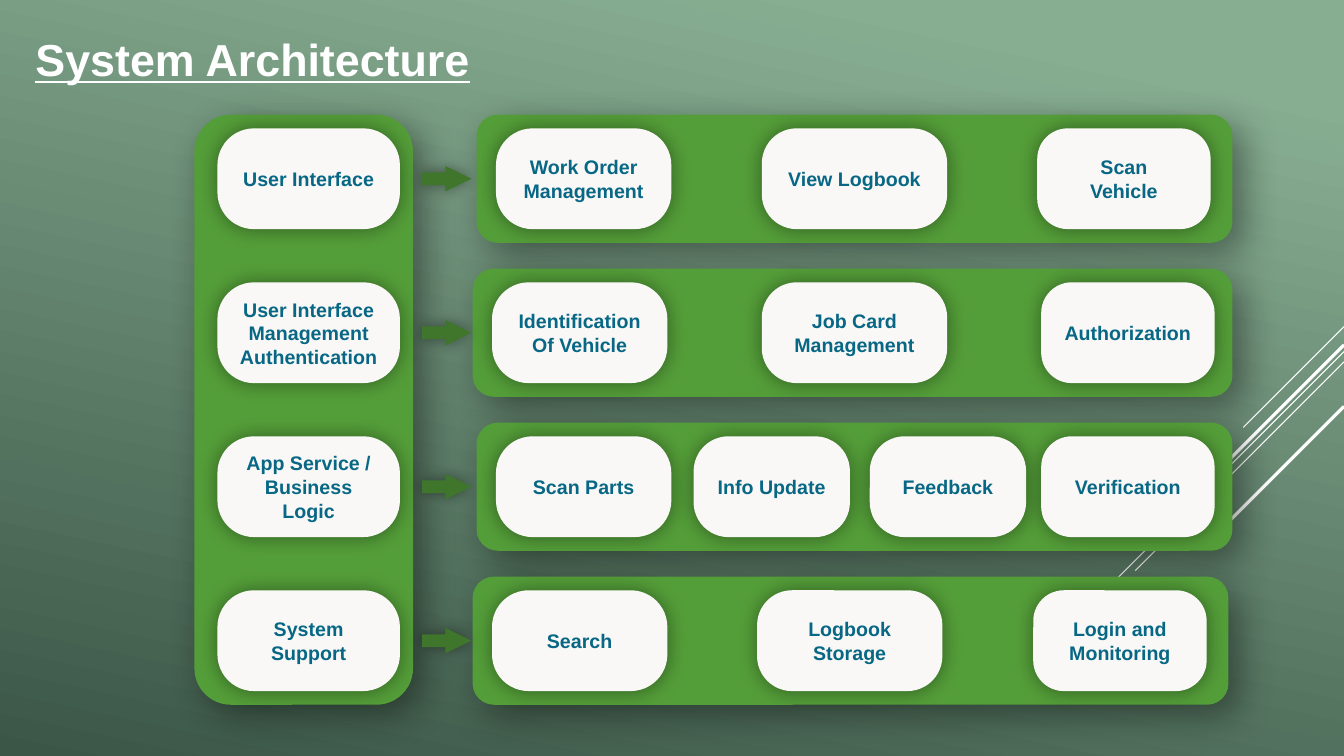
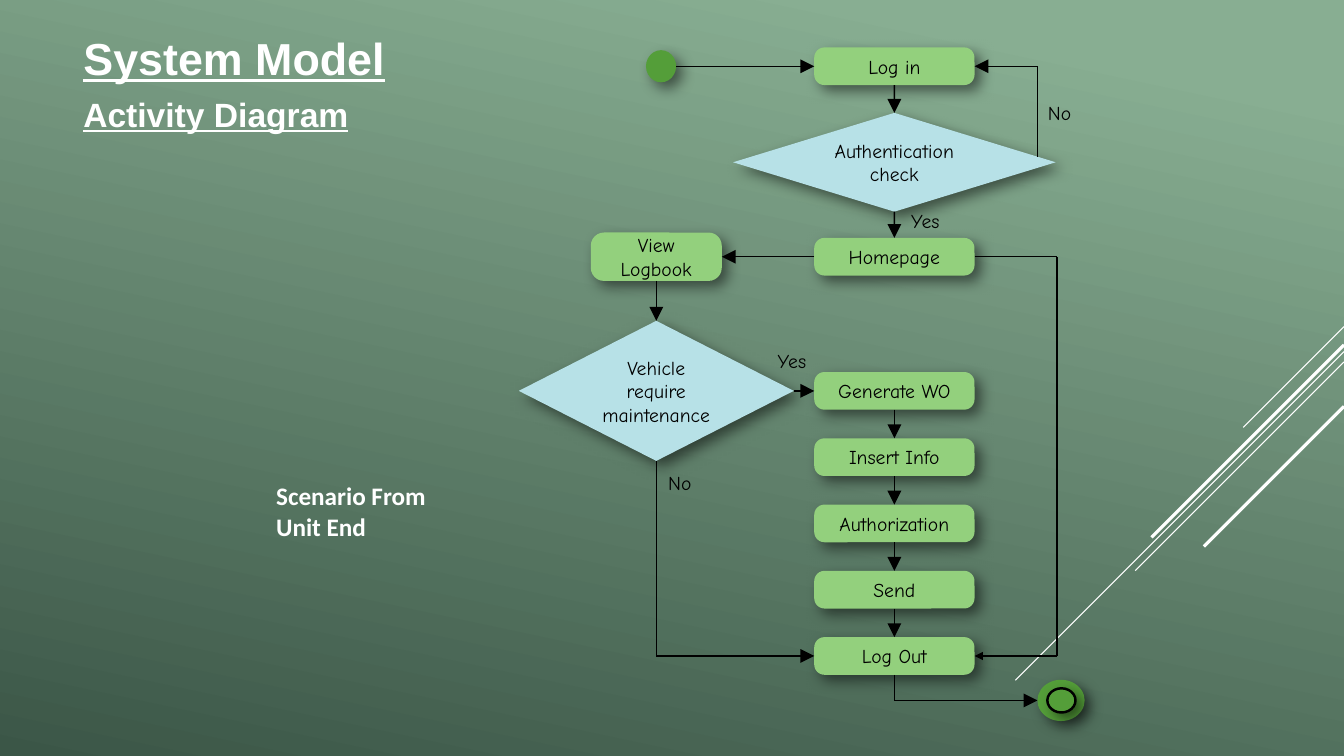
from dataclasses import dataclass
from enum import IntEnum
from itertools import pairwise

from lxml.etree import SubElement
from pptx import Presentation
from pptx.dml.color import RGBColor
from pptx.enum.shapes import MSO_CONNECTOR, MSO_SHAPE
from pptx.enum.text import MSO_ANCHOR, MSO_AUTO_SIZE, PP_ALIGN
from pptx.oxml.ns import qn
from pptx.presentation import Presentation as Deck
from pptx.shapes.autoshape import Shape
from pptx.shapes.connector import Connector
from pptx.slide import Slide
from pptx.text.text import TextFrame
from pptx.util import Cm, Pt

SLIDE_WIDTH, SLIDE_HEIGHT = 33.87, 19.05
WHITE, BLACK = "FFFFFF", "000000"
GREEN, DARK_GREEN, LIGHT_GREEN = "549E39", "3F762B", "93D07D"
CARD_FILL, CARD_TEXT, DECISION_FILL = "F9F8F6", "076785", "B7E1E7"
BACKDROP = ((0.1, "88AE92"), (1.0, "3B5647"))
HEADING_FONT, DIAGRAM_FONT, NOTE_FONT = "Arial", "Comic Neue", "Calibri"


@dataclass(frozen=True)
class Box:
    left: float
    top: float
    width: float
    height: float

    @property
    def right(self) -> float:
        return self.left + self.width

    @property
    def bottom(self) -> float:
        return self.top + self.height

    @property
    def middle(self) -> float:
        return self.top + self.height / 2

    def lengths(self) -> tuple[Cm, Cm, Cm, Cm]:
        return Cm(self.left), Cm(self.top), Cm(self.width), Cm(self.height)


def centred(x: float, y: float, width: float, height: float) -> Box:
    return Box(x - width / 2, y - height / 2, width, height)


@dataclass(frozen=True)
class Shadow:
    alpha: int
    blur: float
    distance: float
    angle: int


PANEL_SHADOW = Shadow(40, 26, 10, 45)
CARD_SHADOW = Shadow(40, 15, 0, 0)
ARROW_SHADOW = Shadow(40, 10, 0, 0)
STEP_SHADOW = Shadow(50, 10, 6, 45)


@dataclass(frozen=True)
class Streak:
    """Diagonal line that runs down and left from the right edge."""
    top: float
    run: float
    weight: float


STREAKS = (
    Streak(8.23, 2.54, 0.75),
    Streak(8.86, 8.28, 0.75),
    Streak(9.12, 5.26, 0.75),
    Streak(8.69, 4.85, 2.25),
    Streak(10.24, 3.53, 2.25),
)


@dataclass(frozen=True)
class Card:
    text: str
    left: float
    width: float
    rounding: float


@dataclass(frozen=True)
class Layer:
    name: str
    left: float
    width: float
    cards: tuple[Card, ...]


FIRST, MIDDLE, LAST = (4.42, 0.363), (4.67, 0.346), (4.37, 0.303)
NARROW = (3.94, 0.346)
LAYERS = (
    Layer("User Interface", 12.01, 19.05, (
        Card("Work Order Management", 12.5, *FIRST),
        Card("View Logbook", 19.2, *MIDDLE),
        Card("Scan\nVehicle", 26.14, *LAST))),
    Layer("User Interface Management Authentication", 11.91, 19.15, (
        Card("Identification Of Vehicle", 12.4, *FIRST),
        Card("Job Card Management", 19.2, *MIDDLE),
        Card("Authorization", 26.24, *LAST))),
    Layer("App Service /\nBusiness Logic", 12.01, 19.05, (
        Card("Scan Parts", 12.5, *FIRST),
        Card("Info Update", 17.48, *NARROW),
        Card("Feedback", 21.92, *NARROW),
        Card("Verification", 26.24, *LAST))),
    Layer("System Support", 11.91, 19.05, (
        Card("Search", 12.4, *FIRST),
        Card("Logbook Storage", 19.08, *MIDDLE),
        Card("Login and Monitoring", 26.04, *LAST))),
)
LAYER_TOP, LAYER_STEP, LAYER_HEIGHT, CARD_HEIGHT = 2.89, 3.88, 3.23, 2.54


class Site(IntEnum):
    TOP = 0
    LEFT = 1
    BOTTOM = 2
    RIGHT = 3


def rgb(color: str) -> RGBColor:
    return RGBColor.from_string(color)


def write(frame: TextFrame, text: str, *, size: float, font: str, color: str,
          bold: bool = False, underline: bool = False,
          align: PP_ALIGN = PP_ALIGN.LEFT,
          anchor: MSO_ANCHOR = MSO_ANCHOR.TOP) -> None:
    """Fill the frame with one paragraph per line of text."""
    frame.text = text
    frame.word_wrap = True
    frame.auto_size = MSO_AUTO_SIZE.NONE
    frame.vertical_anchor = anchor
    for paragraph in frame.paragraphs:
        paragraph.alignment = align
        for run in paragraph.runs:
            run.font.name = font
            run.font.size = Pt(size)
            run.font.bold = bold
            run.font.underline = underline
            run.font.color.rgb = rgb(color)


def cast_shadow(shape: Shape, shadow: Shadow) -> None:
    shape.shadow.inherit = False
    effects = shape._element.spPr.find(qn("a:effectLst"))
    outer = SubElement(effects, qn("a:outerShdw"), {
        "blurRad": str(Pt(shadow.blur)), "dist": str(Pt(shadow.distance)),
        "dir": str(shadow.angle * 60000), "algn": "ctr", "rotWithShape": "0"})
    tint = SubElement(outer, qn("a:srgbClr"), val=BLACK)
    SubElement(tint, qn("a:alpha"), val=str(shadow.alpha * 1000))


def add_block(slide: Slide, kind: MSO_SHAPE, box: Box, fill: str, shadow: Shadow,
              adjustments: tuple[float, ...] = ()) -> Shape:
    block = slide.shapes.add_shape(kind, *box.lengths())
    block.fill.solid()
    block.fill.fore_color.rgb = rgb(fill)
    block.line.fill.background()
    for index, value in enumerate(adjustments):
        block.adjustments[index] = value
    cast_shadow(block, shadow)
    return block


def add_text(slide: Slide, box: Box, text: str, **style) -> None:
    write(slide.shapes.add_textbox(*box.lengths()).text_frame, text, **style)


def add_line(slide: Slide, start: tuple[float, float], end: tuple[float, float],
             color: str = BLACK, weight: float = 1, head: str = "") -> Connector:
    """Draw a straight line; head is the arrowhead size at its end, if any."""
    line = slide.shapes.add_connector(
        MSO_CONNECTOR.STRAIGHT, *(Cm(value) for value in (*start, *end)))
    line.line.color.rgb = rgb(color)
    line.line.width = Pt(weight)
    if head:
        SubElement(line.line._get_or_add_ln(), qn("a:tailEnd"),
                   type="triangle", w=head, len=head)
    SubElement(line._element.spPr, qn("a:effectLst"))
    return line


def add_route(slide: Slide, *points: tuple[float, float], head: str = "lg") -> None:
    """Draw a bent arrow through the points."""
    legs = list(pairwise(points))
    for start, end in legs[:-1]:
        add_line(slide, start, end)
    add_line(slide, *legs[-1], head=head)


def link(slide: Slide, source: Shape, target: Shape,
         leave: Site = Site.BOTTOM, enter: Site = Site.TOP) -> None:
    arrow = add_line(slide, (0, 0), (1, 1), head="lg")
    arrow.begin_connect(source, leave)
    arrow.end_connect(target, enter)


def add_slide(deck: Deck, title: str, title_box: Box) -> Slide:
    slide = deck.slides.add_slide(deck.slide_layouts.get_by_name("Title Only"))
    heading = slide.shapes.title
    heading.left, heading.top, heading.width, heading.height = title_box.lengths()
    write(heading.text_frame, title, size=32, font=HEADING_FONT, color=WHITE,
          bold=True, underline=True, anchor=MSO_ANCHOR.BOTTOM)
    for streak in STREAKS:
        add_line(slide, (SLIDE_WIDTH, streak.top),
                 (SLIDE_WIDTH - streak.run, streak.top + streak.run),
                 WHITE, streak.weight)
    return slide


def add_card(slide: Slide, card: Card, middle: float) -> None:
    box = Box(card.left, middle - CARD_HEIGHT / 2, card.width, CARD_HEIGHT)
    block = add_block(slide, MSO_SHAPE.ROUNDED_RECTANGLE, box, CARD_FILL,
                      CARD_SHADOW, (card.rounding,))
    write(block.text_frame, card.text, size=14, font=HEADING_FONT, color=CARD_TEXT,
          bold=True, align=PP_ALIGN.CENTER, anchor=MSO_ANCHOR.MIDDLE)


def build_architecture(deck: Deck) -> None:
    slide = add_slide(deck, "System Architecture", Box(0.64, 0, 12.83, 2.29))
    sidebar_height = LAYER_STEP * (len(LAYERS) - 1) + LAYER_HEIGHT
    add_block(slide, MSO_SHAPE.ROUNDED_RECTANGLE,
              Box(4.9, LAYER_TOP, 5.51, sidebar_height), GREEN, PANEL_SHADOW)
    for index, layer in enumerate(LAYERS):
        panel = Box(layer.left, LAYER_TOP + index * LAYER_STEP,
                    layer.width, LAYER_HEIGHT)
        add_block(slide, MSO_SHAPE.ROUNDED_RECTANGLE, panel, GREEN, PANEL_SHADOW)
        for card in (Card(layer.name, 5.48, 4.6, 0.363), *layer.cards):
            add_card(slide, card, panel.middle)
        add_block(slide, MSO_SHAPE.RIGHT_ARROW,
                  centred(11.26, panel.middle, 1.24, 0.64),
                  DARK_GREEN, ARROW_SHADOW, (0.5, 1.019))


def add_node(slide: Slide, text: str, box: Box, decision: bool = False) -> Shape:
    if decision:
        node = add_block(slide, MSO_SHAPE.DIAMOND, box, DECISION_FILL, STEP_SHADOW)
    else:
        node = add_block(slide, MSO_SHAPE.ROUNDED_RECTANGLE, box, LIGHT_GREEN,
                         STEP_SHADOW, (0.272,))
    write(node.text_frame, text, size=14, font=DIAGRAM_FONT, color=BLACK,
          align=PP_ALIGN.CENTER, anchor=MSO_ANCHOR.MIDDLE)
    return node


def build_activity(deck: Deck) -> None:
    slide = add_slide(deck, "System Model", Box(1.85, 0.13, 8.23, 2.13))
    add_text(slide, Box(1.85, 2.24, 7.7, 1.27), "Activity Diagram", size=24,
             font=HEADING_FONT, color=WHITE, bold=True, underline=True)
    add_text(slide, Box(6.71, 11.99, 4.37, 1.8), "Scenario From Unit End", size=18,
             font=NOTE_FONT, color=WHITE, bold=True)

    main_x, side_x, retry_x, exit_x = 22.54, 16.54, 26.14, 26.64
    login_box, homepage_box, *order_boxes = (
        centred(main_x, y, 4.04, 0.95)
        for y in (1.67, 6.47, *(9.85 + 1.67 * step for step in range(5))))
    logout_box = order_boxes[-1]
    maintenance_box = centred(side_x, order_boxes[0].middle, 6.93, 3.53)

    login = add_node(slide, "Log in", login_box)
    check = add_node(slide, "Authentication\ncheck",
                     centred(main_x, 4.09, 8.13, 2.49), decision=True)
    homepage = add_node(slide, "Homepage", homepage_box)
    logbook = add_node(slide, "View Logbook",
                       centred(side_x, homepage_box.middle, 3.3, 1.22))
    maintenance = add_node(slide, "Vehicle require maintenance",
                           maintenance_box, decision=True)
    order_names = ("Generate WO", "Insert Info", "Authorization", "Send", "Log Out")
    orders = [add_node(slide, *order) for order in zip(order_names, order_boxes)]

    start_box = centred(16.66, login_box.middle, 0.76, 0.81)
    finish_box = centred(26.74, 17.65, 1.19, 1.04)
    for box in (start_box, finish_box):
        add_block(slide, MSO_SHAPE.OVAL, box, GREEN, STEP_SHADOW)
    ring = add_block(slide, MSO_SHAPE.OVAL, centred(26.75, 17.65, 0.71, 0.61),
                     GREEN, STEP_SHADOW)
    ring.line.color.rgb = rgb(BLACK)
    ring.line.width = Pt(1.75)

    for source, target in ((login, check), (check, homepage),
                           (logbook, maintenance), *pairwise(orders)):
        link(slide, source, target)
    link(slide, homepage, logbook, Site.LEFT, Site.RIGHT)
    link(slide, maintenance, orders[0], Site.RIGHT, Site.LEFT)

    add_route(slide, (start_box.right, start_box.middle),
              (login_box.left, login_box.middle))
    add_route(slide, (retry_x, 3.95), (retry_x, login_box.middle),
              (login_box.right, login_box.middle))
    add_route(slide, (side_x, maintenance_box.bottom), (side_x, logout_box.middle),
              (logout_box.left, logout_box.middle))
    add_route(slide, (homepage_box.right, homepage_box.middle),
              (exit_x, homepage_box.middle), (exit_x, logout_box.middle),
              (logout_box.right, logout_box.middle), head="med")
    add_route(slide, (main_x, logout_box.bottom), (main_x, finish_box.middle),
              (finish_box.left, finish_box.middle))

    for answer, left, top in (("No", 16.59, 11.73), ("Yes", 22.71, 5.13),
                              ("Yes", 19.35, 8.66), ("No", 26.16, 2.41)):
        add_text(slide, Box(left, top, 1.93, 0.86), answer, size=14,
                 font=DIAGRAM_FONT, color=BLACK)


def main() -> None:
    deck = Presentation()
    deck.slide_width, deck.slide_height = Cm(SLIDE_WIDTH), Cm(SLIDE_HEIGHT)
    backdrop = deck.slide_master.background.fill
    backdrop.gradient()
    backdrop.gradient_angle = 258
    for stop, (position, color) in zip(backdrop.gradient_stops, BACKDROP):
        stop.position = position
        stop.color.rgb = rgb(color)
    build_architecture(deck)
    build_activity(deck)
    deck.save("out.pptx")


if __name__ == "__main__":
    main()
